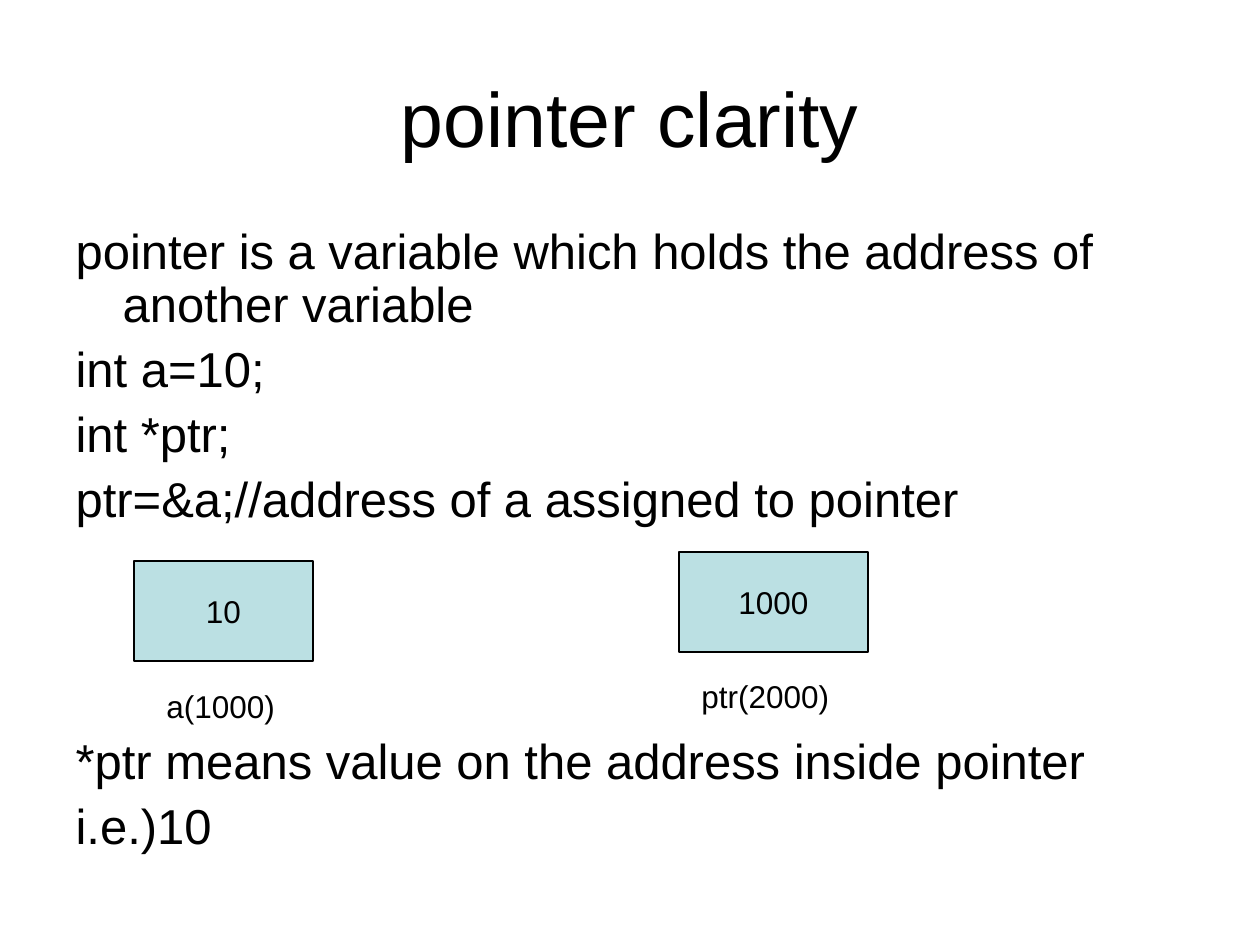
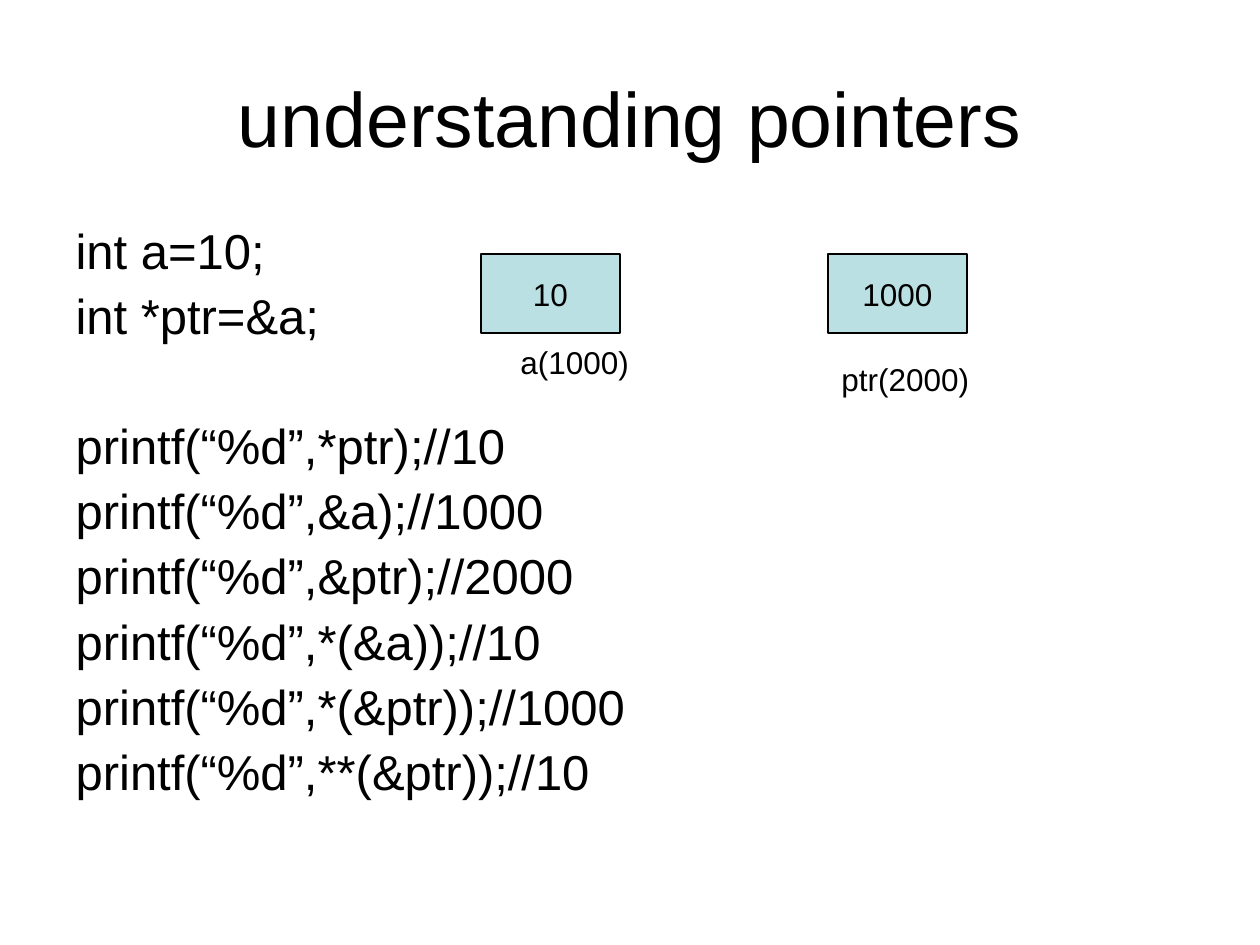
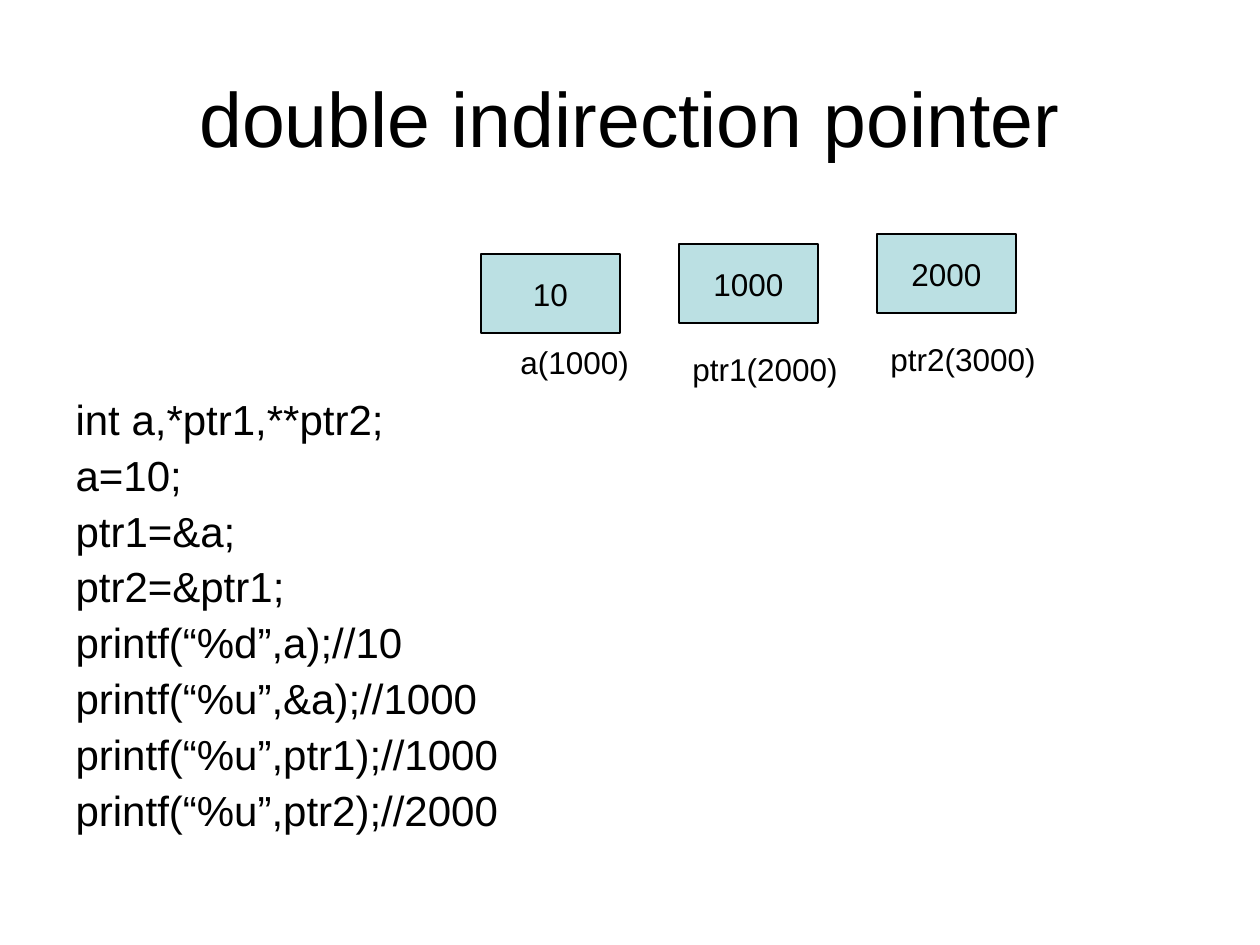
from pptx import Presentation, util as u
from pptx.dml.color import RGBColor
from pptx.enum import shapes, text
from pptx.oxml.ns import qn
from lxml import etree

BLACK = RGBColor(0x00, 0x00, 0x00)
WHITE = RGBColor(0xFF, 0xFF, 0xFF)
AQUA = RGBColor(0xBB, 0xE0, 0xE3)
FONT = "Arial"
SCALE = 914400 / 126
WIDE, HIGH = 1260, 945
TITLE = (63, 38, 1134, 158)
HANG = 47  # hanging indent of body lines
CELL = (139, 79)


def px(n):
    return u.Emu(round(n * SCALE))


def put(obj, **vals):
    for key, val in vals.items():
        setattr(obj, key, val)


def place(shape, box):
    put(shape, **dict(zip(("left", "top", "width", "height"), map(px, box))))


def write(par, words, size, align):
    par.alignment = align
    run = par.add_run()
    run.text = words
    put(run.font, name=FONT, size=u.Pt(size))
    run.font.color.rgb = BLACK


def frame(shape, wrap, anchor, fit=text.MSO_AUTO_SIZE.NONE):
    put(shape.text_frame, word_wrap=wrap, vertical_anchor=anchor, auto_size=fit)
    return shape.text_frame


def start(deck, title):
    slide = deck.slides.add_slide(deck.slide_layouts[1])
    slide.background.fill.solid()
    slide.background.fill.fore_color.rgb = WHITE
    head = slide.shapes.title
    place(head, TITLE)
    tf = frame(head, True, text.MSO_ANCHOR.MIDDLE)
    write(tf.paragraphs[0], title, 44, text.PP_ALIGN.CENTER)
    return slide


def body(slide, lines, size, high, before, gaps=None, drop=0):
    """Fill the body; gaps maps a line number to its own space before."""
    gaps = gaps or {}
    hold = slide.placeholders[1]
    place(hold, (63, 220, 1134, high))
    tf = frame(hold, True, text.MSO_ANCHOR.TOP)
    tf.margin_top = px(7 + drop)
    for i, line in enumerate(lines):
        par = tf.add_paragraph() if i else tf.paragraphs[0]
        put(par, line_spacing=0.9, space_before=u.Pt(gaps.get(i, before)))
        props = par._p.get_or_add_pPr()
        props.set("marL", str(px(HANG)))
        props.set("indent", str(px(-HANG)))
        etree.SubElement(props, qn("a:buNone"))
        write(par, line, size, text.PP_ALIGN.LEFT)


def cell(slide, value, x, y, size=CELL):
    box = slide.shapes.add_shape(
        shapes.MSO_SHAPE.RECTANGLE, *map(px, (x, y, *size)))
    box.shadow.inherit = False
    box.fill.solid()
    box.fill.fore_color.rgb = AQUA
    box.line.color.rgb = BLACK
    box.line.width = u.Pt(0.75)
    tf = frame(box, False, text.MSO_ANCHOR.MIDDLE)
    write(tf.paragraphs[0], value, 18, text.PP_ALIGN.CENTER)


def label(slide, name, x, y, wide):
    box = slide.shapes.add_textbox(*map(px, (x, y, wide, 50)))
    tf = frame(box, False, text.MSO_ANCHOR.TOP)
    write(tf.paragraphs[0], name, 18, text.PP_ALIGN.LEFT)


def clarity(deck):
    slide = start(deck, "pointer clarity")
    body(slide, [
        "pointer is a variable which holds the address of another variable",
        "int a=10;",
        "int *ptr;",
        "ptr=&a;//address of a assigned to pointer",
        "*ptr means value on the address inside pointer",
        "i.e.)10",
    ], 28, 689, 7, {4: 119})
    cell(slide, "10", 134, 561, (179, 100))
    label(slide, "a(1000)", 154, 681, 136)
    cell(slide, "1000", 679, 552, (189, 100))
    label(slide, "ptr(2000)", 689, 671, 156)


def basics(deck):
    slide = start(deck, "understanding pointers")
    calls = [("*ptr", 10), ("&a", 1000), ("&ptr", 2000),
             ("*(&a)", 10), ("*(&ptr)", 1000), ("**(&ptr)", 10)]
    prints = [f"printf(“%d”,{arg});//{out}" for arg, out in calls]
    body(slide, ["int a=10;", "int *ptr=&a;", *prints], 28, 624, 7, {2: 44})
    cell(slide, "10", 481, 254)
    cell(slide, "1000", 828, 254)
    label(slide, "a(1000)", 508, 337, 136)
    label(slide, "ptr(2000)", 829, 354, 156)


def double(deck):
    slide = start(deck, "double indirection pointer")
    calls = [("d", "a", 10), ("u", "&a", 1000),
             ("u", "ptr1", 1000), ("u", "ptr2", 2000)]
    prints = [f"printf(“%{kind}”,{arg});//{out}" for kind, arg, out in calls]
    body(slide, ["int a,*ptr1,**ptr2;", "a=10;", "ptr1=&a;", "ptr2=&ptr1;",
                 *prints], 24, 624, 6, drop=172)
    for i, value in enumerate(("10", "1000", "2000")):
        cell(slide, value, 481 + 198 * i, 254 - 10 * i)
    label(slide, "a(1000)", 508, 337, 136)
    label(slide, "ptr1(2000)", 680, 344, 174)
    label(slide, "ptr2(3000)", 878, 334, 174)


def main():
    deck = Presentation()
    put(deck, slide_width=px(WIDE), slide_height=px(HIGH))
    for build in (clarity, basics, double):
        build(deck)
    deck.save("out.pptx")


if __name__ == "__main__":
    main()
